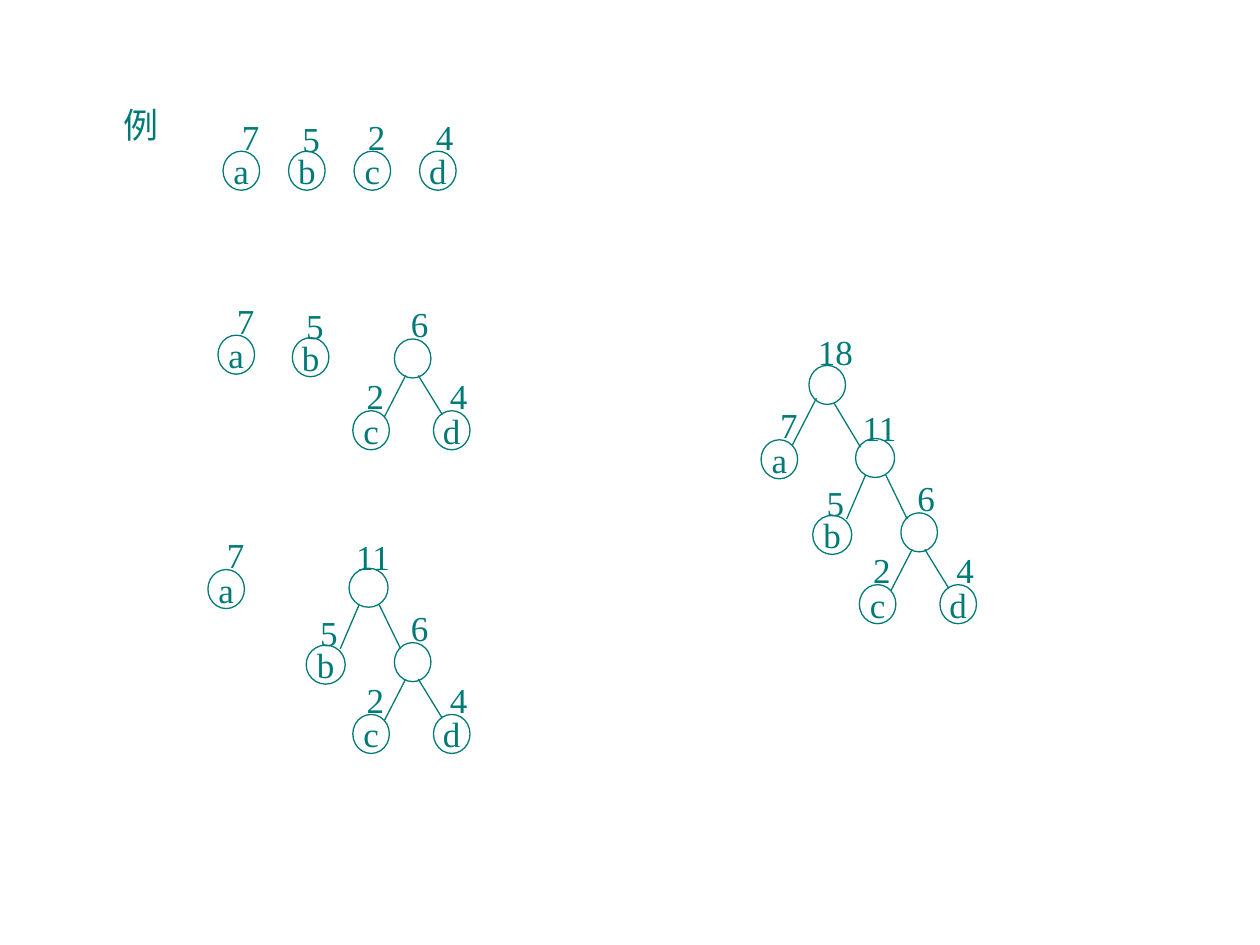
from lxml import etree
from pptx import Presentation
from pptx import util as u
from pptx.dml.color import RGBColor
from pptx.enum import shapes, text
from pptx.oxml.ns import qn

COLORS = {"ink": "007A77"}
FONT = "Times New Roman"
WIDTH, HEIGHT = u.Inches(10), u.Inches(7.5)
COL, ROW = WIDTH / 100, HEIGHT / 75
NODE_W, WIDE_NODE_W, NODE_H = 2.9, 3.1, 3.1
LABEL_H = 4.4

# weight: (letter, centre of the weight label from the node's left and top)
NODES = {
    7: ("a", 2.2, -1.2),
    5: ("b", 1.8, -1.0),
    2: ("c", 1.8, -1.2),
    4: ("d", 2.0, -1.2),
    6: ("", 2.0, -1.2),
    11: ("", 1.9, -0.9),
    18: ("", 2.1, -1.1),
}
# parent weight: (child weight, child offset, edge start, edge end),
# all measured from the parent's left and top
CHILDREN = {
    6: [(2, (-3.3, 5.7), (0.9, 2.9), (-0.8, 6.2)),
        (4, (3.1, 5.7), (1.9, 2.9), (3.8, 6.0))],
    11: [(5, (-3.4, 6.1), (0.8, 2.9), (-0.7, 6.4)),
         (6, (3.6, 5.9), (2.4, 2.9), (4.1, 6.4))],
    18: [(7, (-3.8, 5.9), (0.6, 2.6), (-1.3, 6.3)),
         (11, (3.7, 5.8), (2.0, 3.0), (4.1, 6.5))],
}
# one forest per merging step: (root weight, column, row)
STEPS = [
    [(7, 17.7, 12), (5, 22.9, 12), (2, 28.1, 12), (4, 33.3, 12)],
    [(7, 17.3, 26.6), (5, 23.2, 26.8), (6, 31.3, 26.9)],
    [(7, 16.5, 45.2), (11, 27.7, 45.1)],
    [(18, 64.2, 29)],
]


def cells(x, y):
    """Turn grid columns and rows into slide lengths."""
    return round(x * COL), round(y * ROW)


def ink():
    return RGBColor.from_string(COLORS["ink"])


def write(sp, words):
    tf = sp.text_frame
    tf.word_wrap = False
    tf.vertical_anchor = text.MSO_ANCHOR.MIDDLE
    p = tf.paragraphs[0]
    p.text = words
    p.alignment = text.PP_ALIGN.CENTER
    p.font.size = u.Pt(20)
    p.font.name = FONT
    p.font.color.rgb = ink()


def add_label(group, words, x, y, width):
    """Write a label centred on x, y."""
    sp = group.shapes.add_textbox(*cells(x - width / 2, y - LABEL_H / 2),
                                  *cells(width, LABEL_H))
    write(sp, words)
    sp.text_frame.auto_size = text.MSO_AUTO_SIZE.SHAPE_TO_FIT_TEXT


def add_node(group, weight, x, y, width):
    letter, dx, dy = NODES[weight]
    sp = group.shapes.add_shape(shapes.MSO_SHAPE.OVAL, *cells(x, y),
                                *cells(width, NODE_H))
    sp.shadow.inherit = False
    sp.fill.background()
    sp.line.color.rgb = ink()
    sp.line.width = u.Pt(0.75)
    if letter:
        write(sp, letter)
    add_label(group, str(weight), x + dx, y + dy, 4.8 if weight > 9 else 3.4)


def add_edge(group, x, y, start, end):
    line = group.shapes.add_connector(
        shapes.MSO_CONNECTOR.STRAIGHT,
        *cells(x + start[0], y + start[1]), *cells(x + end[0], y + end[1]))
    line.line.color.rgb = ink()
    line.line.width = u.Pt(0.75)
    etree.SubElement(line._element.spPr, qn("a:effectLst"))


def add_tree(group, weight, x, y, parent=None):
    """Draw a node at x, y with everything below it."""
    wide = weight == 11 or parent == 11 and weight == 5
    for child, (dx, dy), start, end in CHILDREN.get(weight, []):
        add_tree(group, child, x + dx, y + dy, weight)
        add_edge(group, x, y, start, end)
    add_node(group, weight, x, y, WIDE_NODE_W if wide else NODE_W)


def add_forest(slide, roots):
    group = slide.shapes.add_group_shape()
    for weight, x, y in roots:
        add_tree(group, weight, x, y)
    return group


def main():
    prs = Presentation()
    prs.slide_width, prs.slide_height = WIDTH, HEIGHT
    slide = prs.slides.add_slide(prs.slide_layouts[6])
    groups = [add_forest(slide, roots) for roots in STEPS]
    add_label(groups[0], "例", 11.2, 9.9, 4.8)
    prs.save("out.pptx")


if __name__ == "__main__":
    main()
